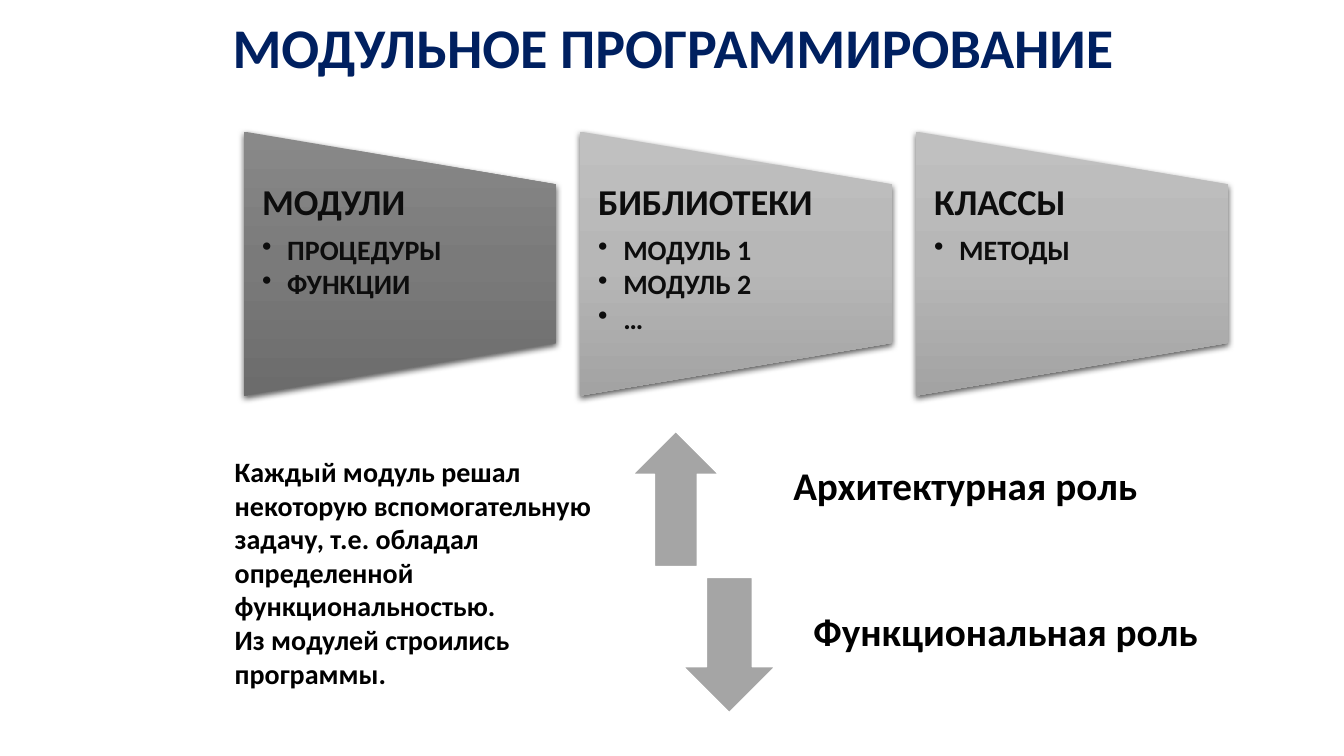
from lxml import etree
from pptx import Presentation
from pptx.dml.color import RGBColor
from pptx.enum import shapes, text
from pptx.oxml import ns, parse_xml
from pptx.util import Emu, Inches, Pt

COLORS = {
    "title": "002060", "heading": "0D0D0D", "body": "000000",
    "arrow": "A5A5A5", "outline": "FFFFFF", "shadow": "000000",
}
GRADIENTS = {
    "dark": ("898989", "7A7A7A", "6C6C6C"),
    "light": ("C0C0C0", "B7B7B7", "A3A3A3"),
}
CARDS = [
    ("МОДУЛИ", ["ПРОЦЕДУРЫ", "ФУНКЦИИ"], "dark"),
    ("БИБЛИОТЕКИ", ["МОДУЛЬ 1", "МОДУЛЬ 2", "…"], "light"),
    ("КЛАССЫ", ["МЕТОДЫ"], "light"),
]
EXPLANATION = [
    "Каждый модуль решал некоторую вспомогательную задачу, т.е. обладал "
    "определенной функциональностью.",
    "Из модулей строились программы.",
]


class SlideBuilder:
    """Draws styled elements on a slide with a 40-column, 30-row grid."""

    font = "Calibri"
    columns, rows = 40, 30

    def __init__(self, presentation):
        self.column = presentation.slide_width / self.columns
        self.row = presentation.slide_height / self.rows
        self.slide = presentation.slides.add_slide(presentation.slide_layouts[5])

    def box(self, left, top, width, height):
        return [Emu(round(value)) for value in (
            left * self.column, top * self.row,
            width * self.column, height * self.row)]

    def add_words(self, paragraph, words, size, color, spacing=1.0, after=0):
        paragraph.line_spacing = spacing
        paragraph.space_before, paragraph.space_after = Pt(0), Pt(after)
        run = paragraph.add_run()
        run.text = words
        run.font.name, run.font.size, run.font.bold = self.font, Pt(size), True
        run.font.color.rgb = RGBColor.from_string(COLORS[color])

    def bullet(self, paragraph):
        properties = paragraph._p.get_or_add_pPr()
        indent = Inches(0.25)
        properties.set("marL", str(indent))
        properties.set("indent", str(-indent))
        etree.SubElement(properties, ns.qn("a:buChar")).set("char", "•")

    def title(self, words, *place):
        shape = self.slide.shapes.title
        shape.left, shape.top, shape.width, shape.height = self.box(*place)
        frame = shape.text_frame
        frame.auto_size = text.MSO_AUTO_SIZE.NONE
        frame.vertical_anchor = text.MSO_ANCHOR.MIDDLE
        paragraph = frame.paragraphs[0]
        paragraph.alignment = text.PP_ALIGN.CENTER
        self.add_words(paragraph, words, 40, "title", 0.9)

    def text_frame(self, place, insets=(0.1, 0.05, 0.1, 0.05)):
        frame = self.slide.shapes.add_textbox(*self.box(*place)).text_frame
        frame.word_wrap = True
        (frame.margin_left, frame.margin_top,
         frame.margin_right, frame.margin_bottom) = map(Inches, insets)
        return frame

    def body(self, paragraphs, *place):
        frame = self.text_frame(place)
        for index, words in enumerate(paragraphs):
            paragraph = frame.add_paragraph() if index else frame.paragraphs[0]
            self.add_words(paragraph, words, 20, "body")

    def trapezoid(self, gradient, *place):
        left, top, width, height = self.box(*place)
        shift = (width - height) // 2
        shape = self.slide.shapes.add_shape(
            shapes.MSO_SHAPE.FLOWCHART_MANUAL_OPERATION,
            left + shift, top - shift, height, width)
        shape.rotation = 270
        shape.line.fill.background()
        stops = "".join(
            f'<a:gs pos="{index * 50000}"><a:srgbClr val="{color}"/></a:gs>'
            for index, color in enumerate(GRADIENTS[gradient]))
        properties = shape._element.spPr
        properties.find(ns.qn("a:ln")).addprevious(parse_xml(
            f'<a:gradFill {ns.nsdecls("a")} rotWithShape="0"><a:gsLst>{stops}'
            '</a:gsLst><a:lin ang="5400000" scaled="0"/></a:gradFill>'))
        properties.append(parse_xml(
            f'<a:effectLst {ns.nsdecls("a")}><a:outerShdw blurRad="{Pt(4.5)}" '
            f'dist="{Pt(1.5)}" dir="5400000" algn="ctr" rotWithShape="0">'
            f'<a:srgbClr val="{COLORS["shadow"]}"><a:alpha val="63000"/>'
            '</a:srgbClr></a:outerShdw></a:effectLst>'))

    def card(self, heading, items, gradient, left, top, width, height):
        self.trapezoid(gradient, left, top, width, height)
        frame = self.text_frame(
            (left, top + height / 5, width, height * 3 / 5), (0.18, 0, 0.18, 0))
        self.add_words(frame.paragraphs[0], heading, 26, "heading", 0.9, after=9)
        for item in items:
            paragraph = frame.add_paragraph()
            paragraph.level = 1
            self.add_words(paragraph, item, 20, "heading", 0.9, after=3)
            self.bullet(paragraph)

    def arrow(self, kind, *place):
        shape = self.slide.shapes.add_shape(kind, *self.box(*place))
        shape.shadow.inherit = False
        shape.fill.solid()
        shape.fill.fore_color.rgb = RGBColor.from_string(COLORS["arrow"])
        shape.line.color.rgb = RGBColor.from_string(COLORS["outline"])
        shape.line.width = Pt(1)

    def label(self, words, *place):
        frame = self.text_frame(place, (0.22, 0, 0.22, 0.22))
        frame.vertical_anchor = text.MSO_ANCHOR.MIDDLE
        self.add_words(frame.paragraphs[0], words, 28, "body", 0.9, after=10)


def main():
    presentation = Presentation()
    presentation.slide_width, presentation.slide_height = Inches(13.33), Inches(7.5)
    builder = SlideBuilder(presentation)
    for index, card in enumerate(CARDS):
        builder.card(*card, 7.26 + 10 * index, 5.22, 9.3, 10.48)
    builder.title("МОДУЛЬНОЕ ПРОГРАММИРОВАНИЕ", 2.88, 0, 34.3, 3.96)
    builder.body(EXPLANATION, 6.69, 17.84, 11.88, 9.84)
    arrows = shapes.MSO_SHAPE
    roles = [
        ("Архитектурная роль", arrows.UP_ARROW, 17.12, 18.84, 2.55, 22.95, 12.18),
        ("Функциональная роль", arrows.DOWN_ARROW, 22.92, 20.34, 2.73, 23.55, 14.16),
    ]
    for words, kind, top, arrow_left, arrow_width, label_left, label_width in roles:
        builder.arrow(kind, arrow_left, top, arrow_width, 5.36)
        builder.label(words, label_left, top, label_width, 5.36)
    presentation.save("out.pptx")


main()
